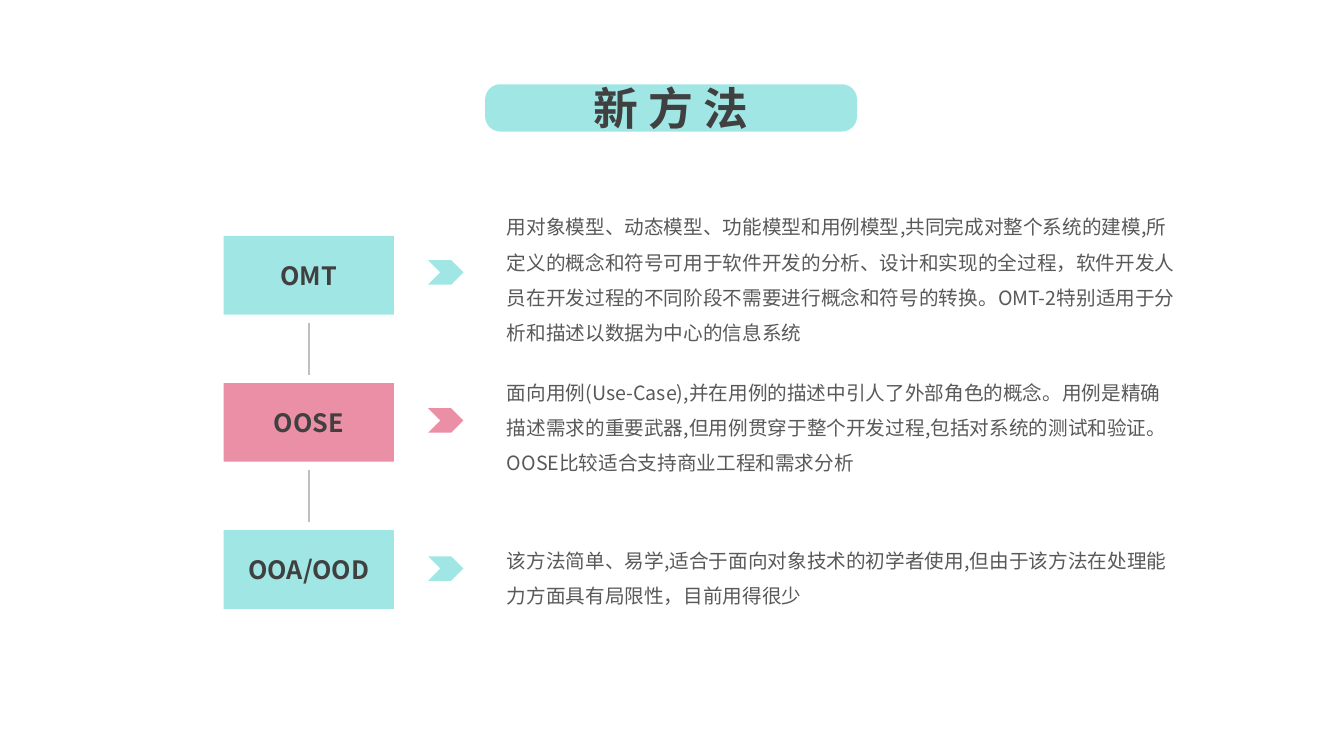
"""Build a slide that presents three object-oriented methods."""
from lxml import etree
from pptx import Presentation
from pptx.dml.color import RGBColor
from pptx.enum import shapes, text
from pptx.oxml import ns
from pptx.util import Pt

TEAL = RGBColor(0xA0, 0xE6, 0xE4)
PINK = RGBColor(0xEB, 0x8F, 0xA6)
DARK = RGBColor(0x40, 0x40, 0x40)
GREY = RGBColor(0x59, 0x59, 0x59)
SILVER = RGBColor(0xBF, 0xBF, 0xBF)

METHODS = [
    ("OMT", TEAL, 141.8, 105.8,
     "用对象模型、动态模型、功能模型和用例模型,共同完成对整个系统的建模,"
     "所定义的概念和符号可用于软件开发的分析、设计和实现的全过程，"
     "软件开发人员在开发过程的不同阶段不需要进行概念和符号的转换。"
     "OMT-2特别适用于分析和描述以数据为中心的信息系统"),
    ("OOSE", PINK, 259.9, 80.6,
     "面向用例(Use-Case),并在用例的描述中引人了外部角色的概念。"
     "用例是精确描述需求的重要武器,但用例贯穿于整个开发过程,"
     "包括对系统的测试和验证。OOSE比较适合支持商业工程和需求分析"),
    ("OOA/OOD", TEAL, 380.2, 55.4,
     "该方法简单、易学,适合于面向对象技术的初学者使用,"
     "但由于该方法在处理能力方面具有局限性，目前用得很少"),
]
BOX_TOP, BOX_HEIGHT, BOX_STEP = 168.5, 56.2, 105.1
CHEVRON_TOP, CHEVRON_STEP = 185.8, 105.8
LINK_GAP = 5.8


class MethodSlide:
    """Hold the style and the current slide."""

    font = "Noto Sans CJK SC"

    def __init__(self, deck):
        self.slide = deck.slides.add_slide(deck.slide_layouts[6])

    def add_words(self, paragraph, words, size, color, bold=False):
        run = paragraph.add_run()
        run.text = words
        run.font.size = Pt(size)
        run.font.bold = bold
        run.font.color.rgb = color
        run.font.name = self.font
        east_asian = etree.SubElement(run._r.get_or_add_rPr(), ns.qn("a:ea"))
        east_asian.set("typeface", self.font)

    def block(self, kind, left, top, width, height, fill):
        block = self.slide.shapes.add_shape(
            kind, Pt(left), Pt(top), Pt(width), Pt(height))
        block.shadow.inherit = False
        block.fill.solid()
        block.fill.fore_color.rgb = fill
        block.line.fill.background()
        return block

    def label(self, block, words, size):
        frame = block.text_frame
        frame.vertical_anchor = text.MSO_ANCHOR.MIDDLE
        heading = frame.paragraphs[0]
        heading.alignment = text.PP_ALIGN.CENTER
        self.add_words(heading, words, size, DARK, bold=True)

    def link(self, x, top, bottom):
        link = self.slide.shapes.add_connector(
            shapes.MSO_CONNECTOR.STRAIGHT, Pt(x), Pt(top), Pt(x), Pt(bottom))
        link.line.color.rgb = SILVER
        link.line.width = Pt(1.5)
        etree.SubElement(link._element.spPr, ns.qn("a:effectLst"))

    def description(self, left, top, width, height, words):
        frame = self.slide.shapes.add_textbox(
            Pt(left), Pt(top), Pt(width), Pt(height)).text_frame
        frame.word_wrap = True
        frame.auto_size = text.MSO_AUTO_SIZE.SHAPE_TO_FIT_TEXT
        frame.paragraphs[0].line_spacing = 1.5
        self.add_words(frame.paragraphs[0], words, 14, GREY)


def main():
    deck = Presentation()
    deck.slide_width, deck.slide_height = Pt(960), Pt(540)
    page = MethodSlide(deck)
    kinds = shapes.MSO_SHAPE

    title = page.block(kinds.ROUNDED_RECTANGLE, 346.5, 60.2, 265.7, 33.8, TEAL)
    title.adjustments[0] = 0.32
    page.label(title, "新 方 法", 32)

    for row, (method, color, text_top, text_height, summary) in enumerate(METHODS):
        top = BOX_TOP + row * BOX_STEP
        box = page.block(kinds.RECTANGLE, 159.8, top, 121.6, BOX_HEIGHT, color)
        page.label(box, method, 18)
        if row:
            page.link(220.6, top - BOX_STEP + BOX_HEIGHT + LINK_GAP,
                      top - LINK_GAP)
        page.block(kinds.CHEVRON, 305.8, CHEVRON_TOP + row * CHEVRON_STEP,
                   25.2, 17.5, color)
        page.description(355, text_top, 491.8, text_height, summary)

    deck.save("out.pptx")


if __name__ == "__main__":
    main()
